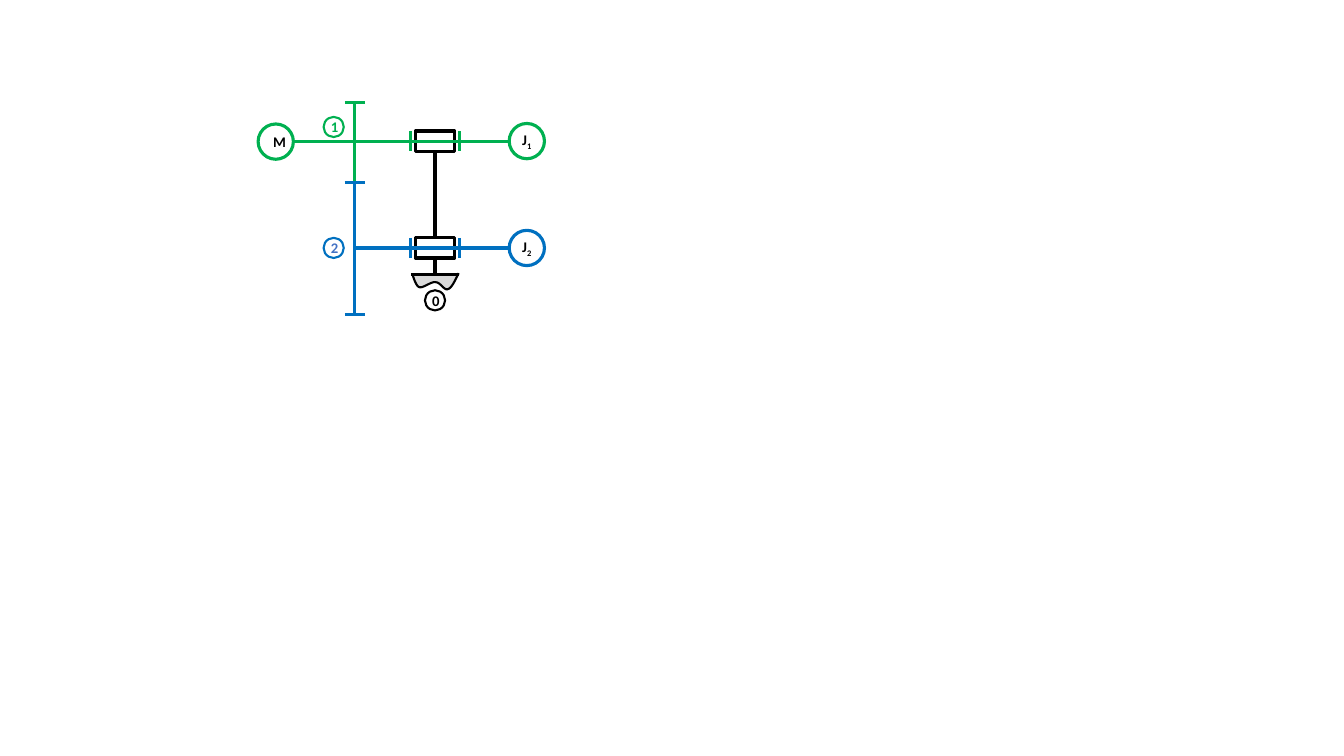
from pptx import Presentation
from pptx.dml.color import RGBColor
from pptx.enum.shapes import MSO_CONNECTOR, MSO_SHAPE
from pptx.enum.text import MSO_ANCHOR, PP_ALIGN
from pptx.oxml.ns import qn
from pptx.util import Inches, Pt
from lxml import etree

LINE = MSO_CONNECTOR.STRAIGHT
OVAL, RECT = MSO_SHAPE.OVAL, MSO_SHAPE.RECTANGLE
MIDDLE, CENTER = MSO_ANCHOR.MIDDLE, PP_ALIGN.CENTER

GREEN, BLUE, BLACK, WHITE = "00B050", "0070C0", "000000", "FFFFFF"
GEAR_X, BLOCK_X, LOAD_X, MOTOR_X = 3.52, 4.315, 5.225, 2.735
TAG_X, GROUND_Y = 3.31, 2.72
BIG, SMALL, THICK, THIN = 0.35, 0.2, 2.25, 1.5
BLOCK_W, BLOCK_H, RIM, GUARD = 0.39, 0.2, 0.1, 0.24

GEARS = [
    {"row": 1.4, "top": 1.02, "end": 1.81, "from": MOTOR_X + BIG / 2, "color": GREEN},
    {"row": 2.46, "top": 1.81, "end": 3.12, "from": GEAR_X, "color": BLUE},
]
DISCS = [
    ("M", "", MOTOR_X, 1.405, BIG, GREEN, BLACK),
    ("J", "1", LOAD_X, 1.4, BIG, GREEN, BLACK),
    ("J", "2", LOAD_X, 2.46, BIG, BLUE, BLACK),
    ("1", "", TAG_X, 1.26, SMALL, GREEN, GREEN),
    ("2", "", TAG_X, 2.46, SMALL, BLUE, "4472C4"),
    ("0", "", BLOCK_X, 2.98, SMALL, BLACK, BLACK),
]
START = (4.09, 2.72)
WAVES = [
    ((4.11, 2.78), (4.13, 2.84), (4.16, 2.85)),
    ((4.2, 2.86), (4.28, 2.79), (4.32, 2.8)),
    ((4.37, 2.8), (4.4, 2.88), (4.44, 2.87)),
    ((4.48, 2.86), (4.51, 2.79), (4.55, 2.71)),
]
STEPS = 10

deck = Presentation()
deck.slide_width, deck.slide_height = Inches(13.33), Inches(7.5)
slide = deck.slides.add_slide(deck.slide_layouts[6])
shapes = slide.shapes


def paint(color):
    return RGBColor.from_string(color)


def style(shape, fill, color, width):
    shape.shadow.inherit = False
    if fill:
        shape.fill.solid()
        shape.fill.fore_color.rgb = paint(fill)
    else:
        shape.fill.background()
    shape.line.color.rgb = paint(color)
    shape.line.width = Pt(width)


def line(x1, y1, x2, y2, color):
    link = shapes.add_connector(LINE, *map(Inches, (x1, y1, x2, y2)))
    link.line.color.rgb = paint(color)
    link.line.width = Pt(THICK)
    etree.SubElement(link._element.spPr, qn("a:effectLst"))
    return link


def box(kind, x, y, w, h, fill, color, width):
    shape = shapes.add_shape(kind, *map(Inches, (x - w / 2, y - h / 2, w, h)))
    style(shape, fill, color, width)
    return shape


def disc(text, sub, x, y, size, color, ink):
    shape = box(OVAL, x, y, size, size, None, color, THICK if size == BIG else THIN)
    frame = shape.text_frame
    frame.vertical_anchor = MIDDLE
    if sub:
        frame.margin_left = frame.margin_right = 0
        frame.margin_top = frame.margin_bottom = 0
    para = frame.paragraphs[0]
    para.alignment = CENTER
    for part in filter(None, (text, sub)):
        run = para.add_run()
        run.text = part
        font = run.font
        font.name, font.size, font.bold = "Calibri", Pt(10.5), True
        font.color.rgb = paint(ink)
        if part == sub:
            font._element.set("baseline", "-25000")


def curve(start, waves):
    for a, b, end in waves:
        for step in range(1, STEPS + 1):
            t = step / STEPS
            u = 1 - t
            yield tuple(
                Inches(u**3 * p + 3 * u * u * t * q + 3 * u * t * t * r + t**3 * s)
                for p, q, r, s in zip(start, a, b, end)
            )
        start = end


pen = shapes.build_freeform(*map(Inches, START))
pen.add_line_segments(list(curve(START, WAVES)), close=False)
style(pen.convert_to_shape(), "D9D9D9", BLACK, THIN)
line(BLOCK_X - GUARD, GROUND_Y, BLOCK_X + GUARD, GROUND_Y, BLACK)

upper, lower = [
    box(RECT, BLOCK_X, gear["row"], BLOCK_W, BLOCK_H, WHITE, BLACK, THICK)
    for gear in GEARS
]
post = line(BLOCK_X, 1.5, BLOCK_X, 2.36, BLACK)
post.begin_connect(upper, 2)
post.end_connect(lower, 0)
foot = line(BLOCK_X, 2.56, BLOCK_X, GROUND_Y, BLACK)
foot.begin_connect(lower, 2)

for gear in GEARS:
    row, top, end, color = gear["row"], gear["top"], gear["end"], gear["color"]
    line(GEAR_X, top, GEAR_X, end, color)
    for y in (top, end):
        line(GEAR_X - RIM, y, GEAR_X + RIM, y, color)
    for x in (BLOCK_X - GUARD, BLOCK_X + GUARD):
        line(x, row - RIM, x, row + RIM, color)
    line(gear["from"], row, LOAD_X - BIG / 2, row, color)

for item in DISCS:
    disc(*item)

deck.save("out.pptx")
